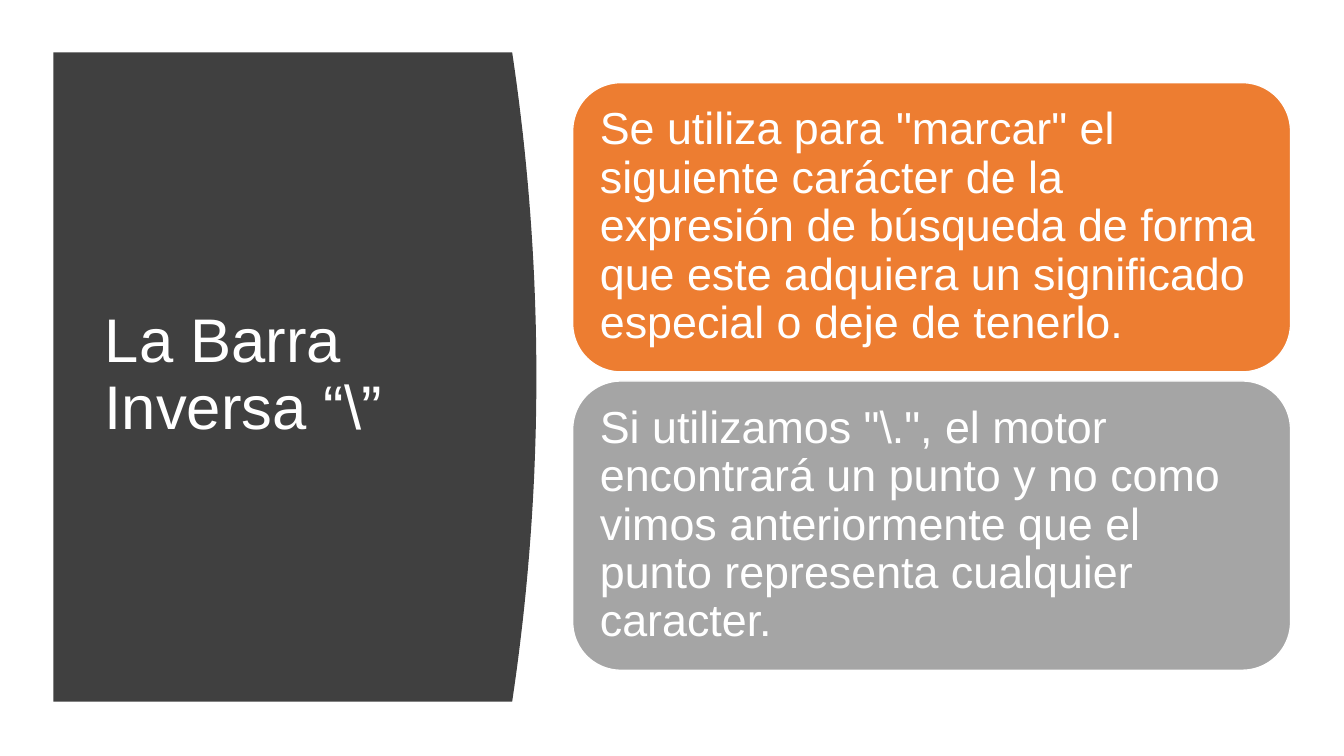
from pptx import Presentation
from pptx.dml.color import RGBColor
from pptx.enum.shapes import MSO_SHAPE as SHAPE
from pptx.enum.text import MSO_ANCHOR as ANCHOR, MSO_AUTO_SIZE as AUTO, PP_ALIGN as ALIGN
from pptx.util import Inches, Pt

COLORS = {"white": "FFFFFF", "panel": "404040", "orange": "ED7D31", "gray": "A5A5A5"}
FONT = "Arial"
TITLE = "La Barra Inversa “\\”"
CARDS = [
    ("orange", 'Se utiliza para "marcar" el siguiente carácter de la expresión de '
               'búsqueda de forma que este adquiera un significado especial o deje de tenerlo.'),
    ("gray", 'Si utilizamos "\\.", el motor encontrará un punto y no como vimos '
             'anteriormente que el punto representa cualquier caracter.'),
]
CARD_TOP, CARD_STEP = 0.82, 2.96


class Deck:
    def __init__(self):
        self.prs = Presentation()
        self.prs.slide_width, self.prs.slide_height = Inches(13.33), Inches(7.5)
        self.slide = self.prs.slides.add_slide(self.prs.slide_layouts[5])

    def color(self, name):
        return RGBColor.from_string(COLORS[name])

    def paint(self, sp, fill):
        sp.shadow.inherit = False
        sp.fill.solid()
        sp.fill.fore_color.rgb = self.color(fill)

    def set_text(self, sp, text, size):
        tf = sp.text_frame
        tf.word_wrap = True
        tf.auto_size = AUTO.NONE
        tf.vertical_anchor = ANCHOR.MIDDLE
        p = tf.paragraphs[0]
        p.alignment = ALIGN.LEFT
        p.line_spacing = 0.9
        r = p.add_run()
        r.text = text
        r.font.size, r.font.name = Pt(size), FONT
        r.font.color.rgb = self.color("white")
        return tf

    def panel(self, left, top, width, height, bulge, steps=40):
        """Draw a rectangle whose right side bows outwards by bulge."""
        edge = left + width - bulge
        points = [(edge + bulge * (1 - (2 * i / steps - 1) ** 2), top + height * i / steps)
                  for i in range(steps + 1)]
        builder = self.slide.shapes.build_freeform(
            Inches(left), Inches(top), scale=1.0)
        builder.add_line_segments(
            [(Inches(x), Inches(y)) for x, y in points + [(left, top + height)]], close=True)
        sp = builder.convert_to_shape()
        self.paint(sp, "panel")
        sp.line.fill.background()

    def title(self, text, left, top, width, height):
        """Fill the title placeholder and bring it in front of the panel."""
        sp = self.slide.shapes.title
        sp.left, sp.top = Inches(left), Inches(top)
        sp.width, sp.height = Inches(width), Inches(height)
        self.set_text(sp, text, 44)
        self.slide.shapes._spTree.append(sp._element)

    def card(self, text, fill, left, top, width, height):
        sp = self.slide.shapes.add_shape(
            SHAPE.ROUNDED_RECTANGLE, Inches(left), Inches(top), Inches(width), Inches(height))
        self.paint(sp, fill)
        sp.line.color.rgb = self.color("white")
        sp.line.width = Pt(1)
        tf = self.set_text(sp, text, 32)
        tf.margin_left = tf.margin_right = tf.margin_top = tf.margin_bottom = Inches(0.13)


def main():
    deck = Deck()
    deck.panel(0.53, 0.52, 4.79, 6.44, bulge=0.24)
    deck.title(TITLE, 0.94, 1.11, 3.74, 5.24)
    for i, (fill, text) in enumerate(CARDS):
        deck.card(text, fill, 5.68, CARD_TOP + i * CARD_STEP, 7.12, 2.87)
    deck.prs.save("out.pptx")


if __name__ == "__main__":
    main()
